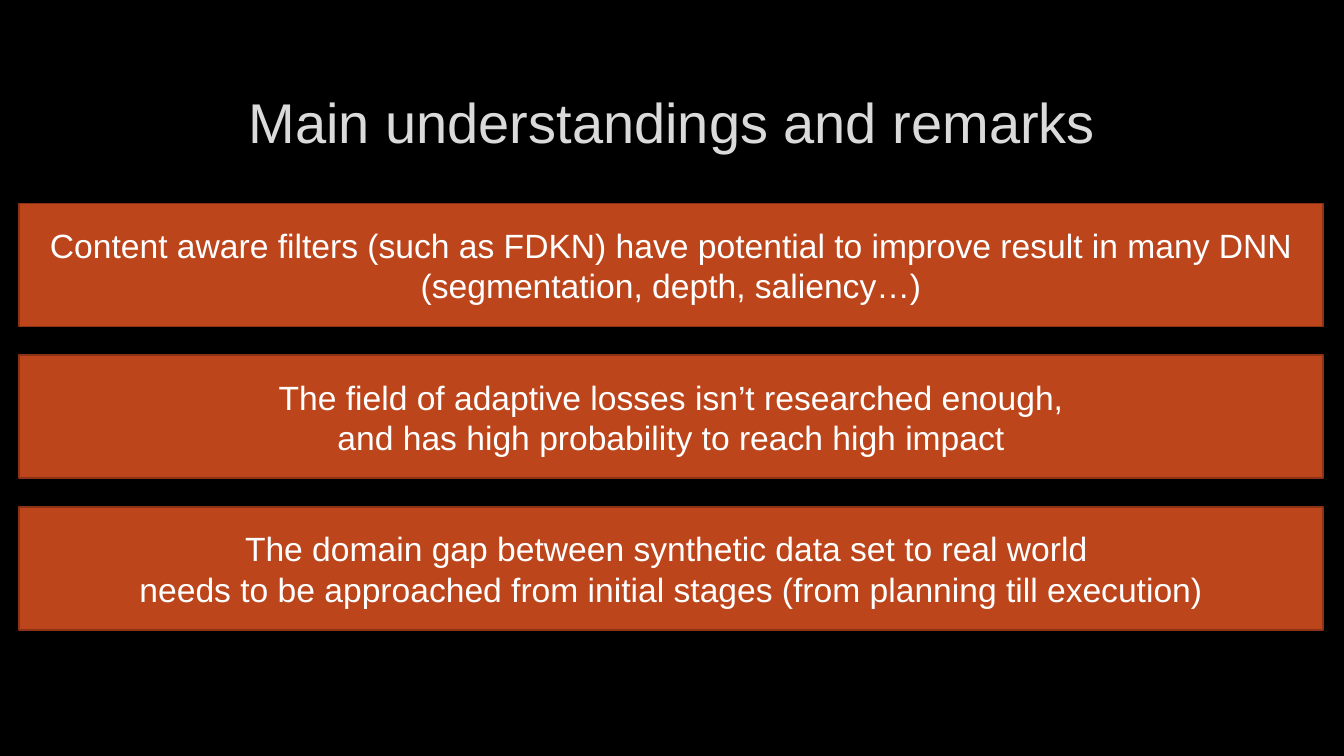
from pptx import Presentation
from pptx.dml.color import RGBColor
from pptx.enum import shapes, text
from pptx.util import Inches, Pt


def color(value):
    return RGBColor.from_string(value)


def write_text(shape, content, *, size, font_color, font_name="Arial"):
    frame = shape.text_frame
    frame.word_wrap = True
    frame.vertical_anchor = text.MSO_ANCHOR.MIDDLE
    paragraph = frame.paragraphs[0]
    paragraph.text = content
    paragraph.alignment = text.PP_ALIGN.CENTER
    for run in paragraph.runs:
        run.font.name = font_name
        run.font.size = Pt(size)
        run.font.color.rgb = color(font_color)


presentation = Presentation()
presentation.slide_width = Inches(13.33)
presentation.slide_height = Inches(7.5)
slide = presentation.slides.add_slide(presentation.slide_layouts[6])
slide.background.fill.solid()
slide.background.fill.fore_color.rgb = color("000000")

title = slide.shapes.add_textbox(Inches(1), Inches(0.67), Inches(11.32), Inches(1.06))
write_text(title, "Main understandings and remarks", size=40, font_color="DADADA")

remarks = [
    "Content aware filters (such as FDKN) have potential to improve result in many DNN "
    "(segmentation, depth, saliency…)",
    "The field of adaptive losses isn’t researched enough,\n"
    "and has high probability to reach high impact",
    "The domain gap between synthetic data set to real world \n"
    "needs to be approached from initial stages (from planning till execution)",
]
first_top = 2.02
row_pitch = 1.505

for index, remark in enumerate(remarks):
    banner = slide.shapes.add_shape(
        shapes.MSO_SHAPE.RECTANGLE,
        Inches(0.19), Inches(first_top + index * row_pitch), Inches(12.93), Inches(1.22),
    )
    banner.shadow.inherit = False
    banner.fill.solid()
    banner.fill.fore_color.rgb = color("BC451B")
    banner.line.color.rgb = color("8B3314")
    banner.line.width = Pt(1.25)
    write_text(banner, remark, size=24, font_color="FFFFFF")

presentation.save("out.pptx")
